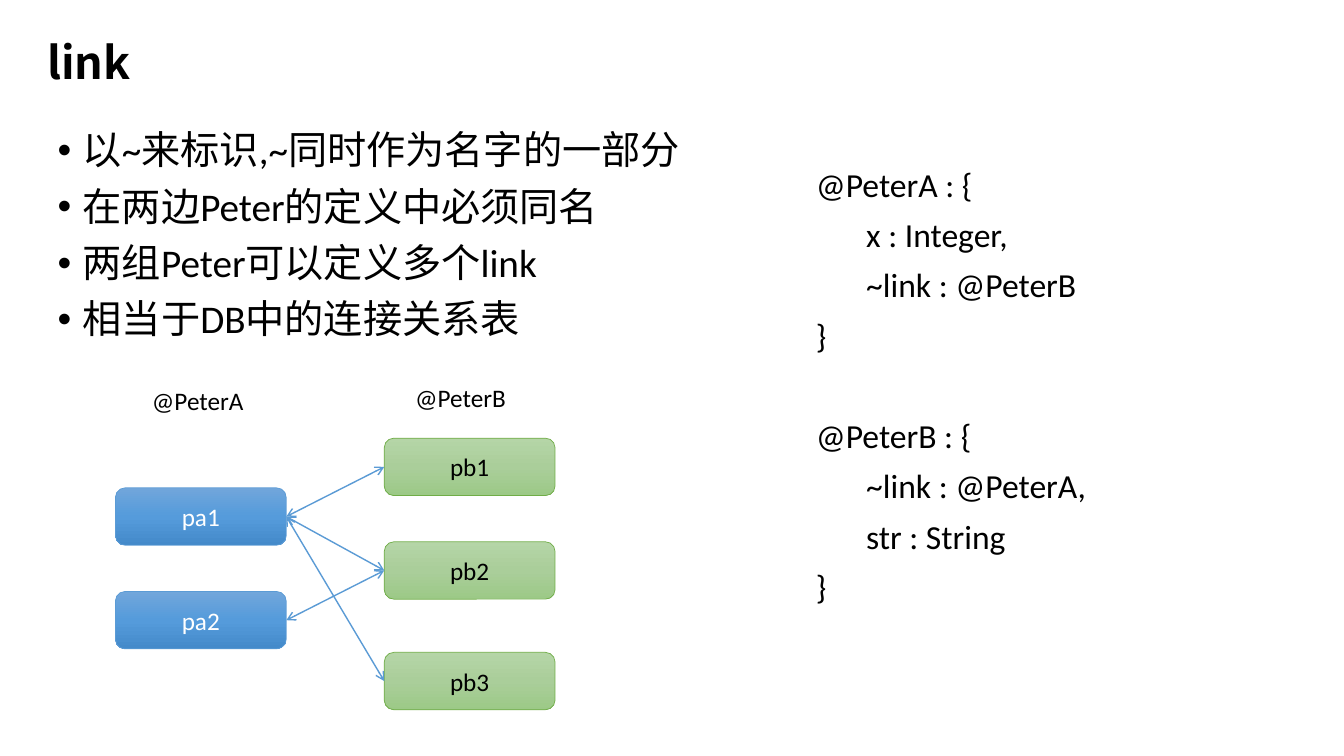
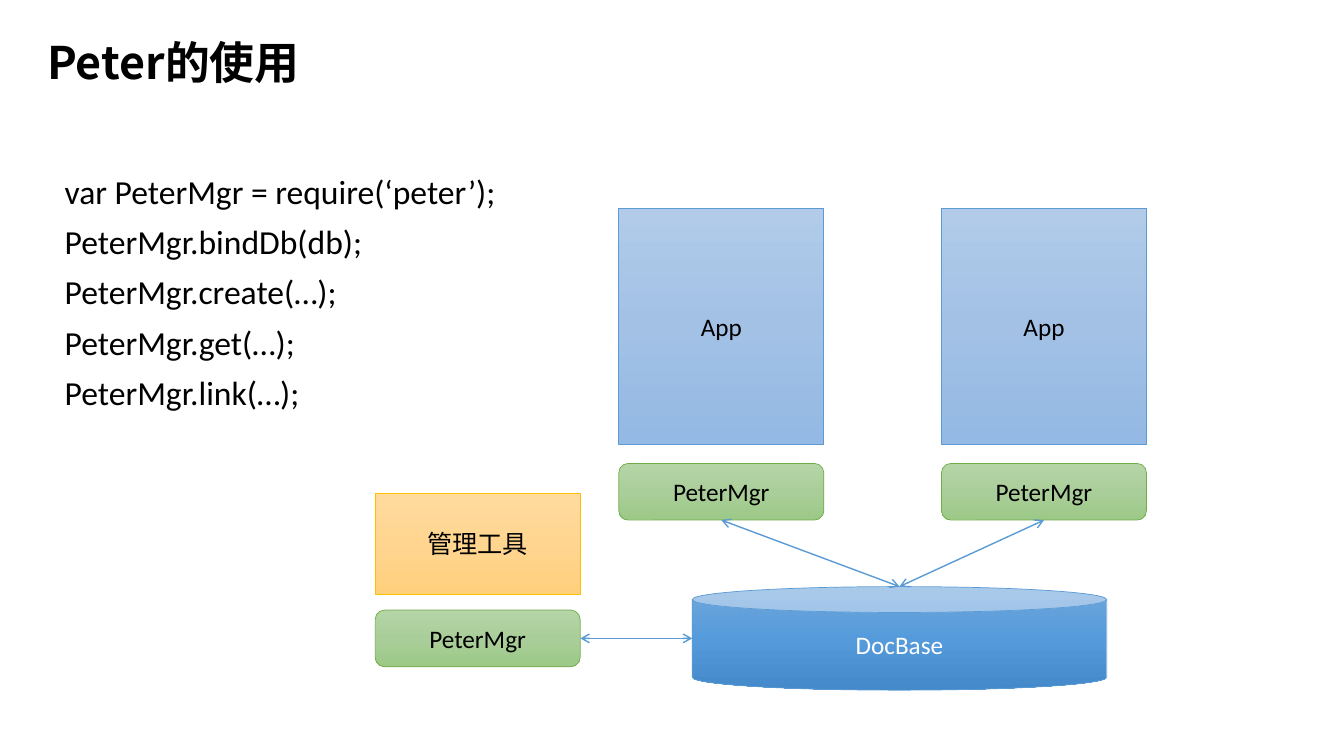
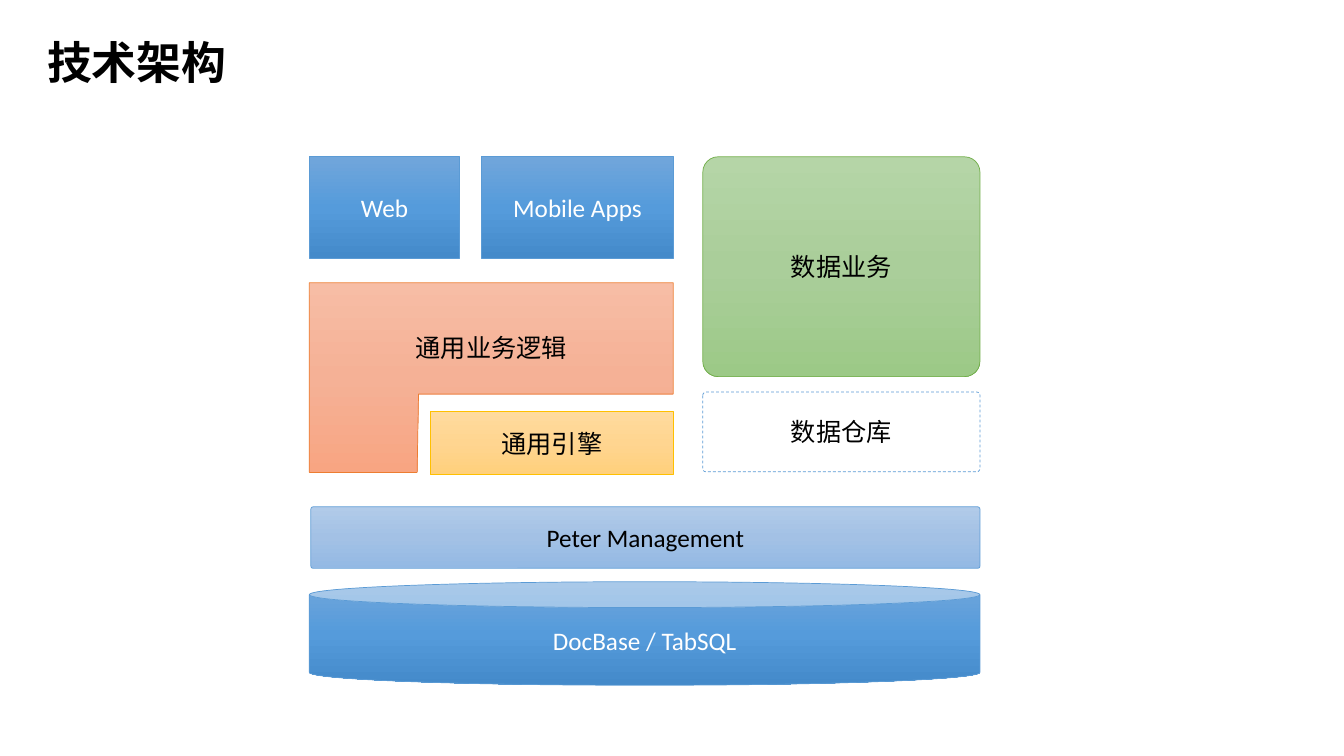
from copy import deepcopy

from lxml import etree
from pptx import Presentation
from pptx.dml.color import RGBColor
from pptx.enum.dml import MSO_LINE
from pptx.enum.shapes import MSO_CONNECTOR, MSO_SHAPE
from pptx.enum.text import MSO_ANCHOR, MSO_AUTO_SIZE, PP_ALIGN
from pptx.oxml.ns import qn
from pptx.util import Pt

RECT = MSO_SHAPE.RECTANGLE
ROUND = MSO_SHAPE.ROUNDED_RECTANGLE
CAN = MSO_SHAPE.CAN
STRAIGHT = MSO_CONNECTOR.STRAIGHT
DASH = MSO_LINE.DASH
LEFT, CENTER = PP_ALIGN.LEFT, PP_ALIGN.CENTER
TOP, MIDDLE = MSO_ANCHOR.TOP, MSO_ANCHOR.MIDDLE
NO_FIT = MSO_AUTO_SIZE.NONE

TWO_CONTENT, TITLE_CONTENT, TITLE_ONLY = 3, 1, 5
LATIN, CHINESE = "Calibri", "Noto Sans CJK SC"
COLORS = {"text": "000000", "inverse": "FFFFFF", "blue": "5B9BD5",
          "green": "70AD47", "gold": "FFC000", "orange": "ED7D31"}
# Each look: gradient stops, outline colour, text colour
LOOKS = {
    "blue": (("71A6DB", "559BDB", "448ACA"), "blue", "inverse"),
    "pale": (("B1CBE9", "A3C1E5", "93B9E4"), "blue", "text"),
    "green": (("B5D5A7", "AACE9A", "9CC987"), "green", "text"),
    "gold": (("FFDB9E", "FFD590", "FFD07C"), "gold", "text"),
    "orange": (("F7BDA5", "F5B196", "F8A582"), "orange", "text"),
    "dashed": ((), "blue", "text"),
}


def rgb(name):
    """Return the named colour."""
    return RGBColor.from_string(COLORS[name])


def side(box, name):
    """Return the middle of one side of a box."""
    middle_x, middle_y = box.left + box.width // 2, box.top + box.height // 2
    return {"top": (middle_x, box.top),
            "bottom": (middle_x, box.top + box.height),
            "left": (box.left, middle_y),
            "right": (box.left + box.width, middle_y)}[name]


class Deck:
    """Holds the shared style and the current slide."""

    def __init__(self):
        """Start an empty wide deck."""
        self.file = Presentation()
        self.file.slide_width, self.file.slide_height = Pt(960), Pt(540)
        self.page = None

    def start(self, layout, title):
        """Add a slide with its title."""
        self.page = self.file.slides.add_slide(self.file.slide_layouts[layout])
        box = self.page.shapes.title
        self.place(box, 26.5, 11.5, 828, 70.5, MIDDLE)
        box.text_frame.text = title
        para = box.text_frame.paragraphs[0]
        para.line_spacing = 0.9
        self.style(para, 32, font=CHINESE, bold=True)

    def place(self, box, left, top, width, height, anchor=TOP):
        """Move a placeholder and fix its text area."""
        box.left, box.top, box.width, box.height = map(Pt, (left, top, width, height))
        box.text_frame.word_wrap = True
        box.text_frame.auto_size = NO_FIT
        box.text_frame.vertical_anchor = anchor

    def style(self, para, size=18, color="text", align=LEFT, font=LATIN, bold=False):
        """Format a paragraph and its runs."""
        para.alignment = align
        for span in para.runs:
            span.font.size, span.font.bold = Pt(size), bold
            span.font.color.rgb = rgb(color)
            span.font.name = font
            east_asian = etree.SubElement(span._r.get_or_add_rPr(), qn("a:ea"))
            east_asian.set("typeface", CHINESE)

    def body(self, index, area, lines, size, bullet=False, gap_before=None):
        """Fill a body placeholder with bullets or code lines."""
        box = self.page.placeholders[index]
        self.place(box, *area)
        box.text_frame.text = "\n".join(lines)
        for number, para in enumerate(box.text_frame.paragraphs):
            para.line_spacing = 0.9
            para.space_before = Pt(46 if number == gap_before else 10)
            self.style(para, size)
            props = para._p.get_or_add_pPr()
            indent = Pt(18) if bullet else 0
            props.set("marL", str(indent))
            props.set("indent", str(-indent))
            if bullet:
                etree.SubElement(props, qn("a:buChar")).set("char", "•")
            else:
                etree.SubElement(props, qn("a:buNone"))
                stops = etree.SubElement(props, qn("a:tabLst"))
                stop = etree.SubElement(stops, qn("a:tab"))
                stop.set("pos", str(Pt(72)))
                stop.set("algn", "l")

    def label(self, left, top, text):
        """Add a plain caption."""
        box = self.page.shapes.add_textbox(Pt(left), Pt(top), Pt(81), Pt(29))
        box.text_frame.word_wrap = True
        box.text_frame.text = text
        self.style(box.text_frame.paragraphs[0])

    def paint(self, box, text, look):
        """Give a shape its gradient, outline and centred text."""
        stops, outline, color = LOOKS[look]
        box.shadow.inherit = False
        if stops:
            box.fill.gradient()
            box.fill.gradient_angle = 270
            stop_list = box._element.spPr.find(".//" + qn("a:gsLst"))
            stop_list.append(deepcopy(stop_list[0]))
            for number, stop in enumerate(box.fill.gradient_stops):
                stop.position = number / 2
                stop.color.rgb = RGBColor.from_string(stops[number])
        else:
            box.fill.background()
            box.line.dash_style = DASH
        box.line.color.rgb = rgb(outline)
        box.line.width = Pt(0.5)
        box.text_frame.text = text
        box.text_frame.word_wrap = True
        box.text_frame.vertical_anchor = MIDDLE
        self.style(box.text_frame.paragraphs[0], color=color, align=CENTER)

    def block(self, kind, left, top, width, height, text, look, corner=None):
        """Add a labelled preset shape."""
        box = self.page.shapes.add_shape(kind, Pt(left), Pt(top), Pt(width), Pt(height))
        if corner is not None:
            box.adjustments[0] = corner
        self.paint(box, text, look)
        return box

    def outline(self, points, text, look, bottom_inset):
        """Add a labelled polygon, its text raised by an inset."""
        corners = [(Pt(x), Pt(y)) for x, y in points]
        builder = self.page.shapes.build_freeform(*corners[0], scale=1.0)
        builder.add_line_segments(corners[1:], close=True)
        box = builder.convert_to_shape()
        self.paint(box, text, look)
        box.text_frame.margin_bottom = Pt(bottom_inset)

    def arrow(self, start, end):
        """Join two points with a double-headed arrow."""
        line = self.page.shapes.add_connector(STRAIGHT, *start, *end)
        line.line.color.rgb = rgb("blue")
        line.line.width = Pt(1)
        props = line._element.spPr
        for tag in ("a:headEnd", "a:tailEnd"):
            etree.SubElement(props.find(qn("a:ln")), qn(tag)).set("type", "arrow")
        etree.SubElement(props, qn("a:effectLst"))


def link_slide(deck):
    """Show how two groups are linked."""
    deck.start(TWO_CONTENT, "link")
    deck.body(1, (34, 90, 507.5, 396), [
        "以~来标识,~同时作为名字的一部分".replace(",", ","),
        "在两边Peter的定义中必须同名",
        "两组Peter可以定义多个link",
        "相当于DB中的连接关系表"], 28, bullet=True)
    deck.body(2, (575.5, 116.5, 345.5, 345), [
        "@PeterA : {", "\tx : Integer,", "\t~link : @PeterB", "}",
        "@PeterB : {", "\t~link : @PeterA,", "\tstr : String", "}"],
        24, gap_before=4)
    deck.label(101.5, 272, "@PeterA")
    deck.label(289.5, 269.5, "@PeterB")
    sources = [deck.block(ROUND, 82.5, top, 122, 41, f"pa{number}", "blue")
               for number, top in enumerate((348.5, 422.5), 1)]
    targets = [deck.block(ROUND, 274.5, top, 122, 41, f"pb{number}", "green")
               for number, top in enumerate((313, 387, 466), 1)]
    for source, target in ((0, 0), (1, 1), (0, 1), (0, 2)):
        deck.arrow(side(sources[source], "right"), side(targets[target], "left"))


def usage_slide(deck):
    """Show the calls and the parts that share the database."""
    deck.start(TITLE_CONTENT, "Peter的使用")
    deck.body(1, (39, 121.5, 355, 409), [
        "var PeterMgr = require(‘peter’);", "PeterMgr.bindDb(db);",
        "PeterMgr.create(…);", "PeterMgr.get(…);", "PeterMgr.link(…);"], 24)
    database = deck.block(CAN, 494.5, 419, 296, 74, "DocBase", "blue")
    for left in (442, 672.5):
        deck.block(RECT, left, 148.5, 146.5, 169, "App", "pale")
        manager = deck.block(ROUND, left, 331, 146.5, 40.5, "PeterMgr", "green")
        deck.arrow(side(manager, "bottom"), side(database, "top"))
    deck.block(RECT, 268, 352.5, 146.5, 72, "管理工具", "gold")
    manager = deck.block(ROUND, 268, 435.75, 146.5, 40.5, "PeterMgr", "green")
    deck.arrow(side(manager, "right"), side(database, "left"))


def architecture_slide(deck):
    """Show the layers of the system."""
    deck.start(TITLE_ONLY, "技术架构")
    deck.block(ROUND, 502, 280, 198, 57, "数据仓库", "dashed", 0.04)
    deck.block(RECT, 307.5, 294, 173.5, 45, "通用引擎", "gold")
    deck.outline([(221, 202), (481, 202), (481, 281.5), (299, 281.5),
                  (298, 337.5), (221, 337.5)], "通用业务逻辑", "orange", 47)
    deck.block(ROUND, 222, 362, 478, 44, "Peter Management", "pale", 0.04)
    deck.block(CAN, 221, 415.5, 479, 74, "DocBase / TabSQL", "blue")
    deck.block(RECT, 221, 112, 107.5, 72.5, "Web", "blue")
    deck.block(RECT, 344, 112, 137, 72.5, "Mobile Apps", "blue")
    deck.block(ROUND, 502, 112, 198, 157, "数据业务", "green", 0.07)


deck = Deck()
link_slide(deck)
usage_slide(deck)
architecture_slide(deck)
deck.file.save("out.pptx")
